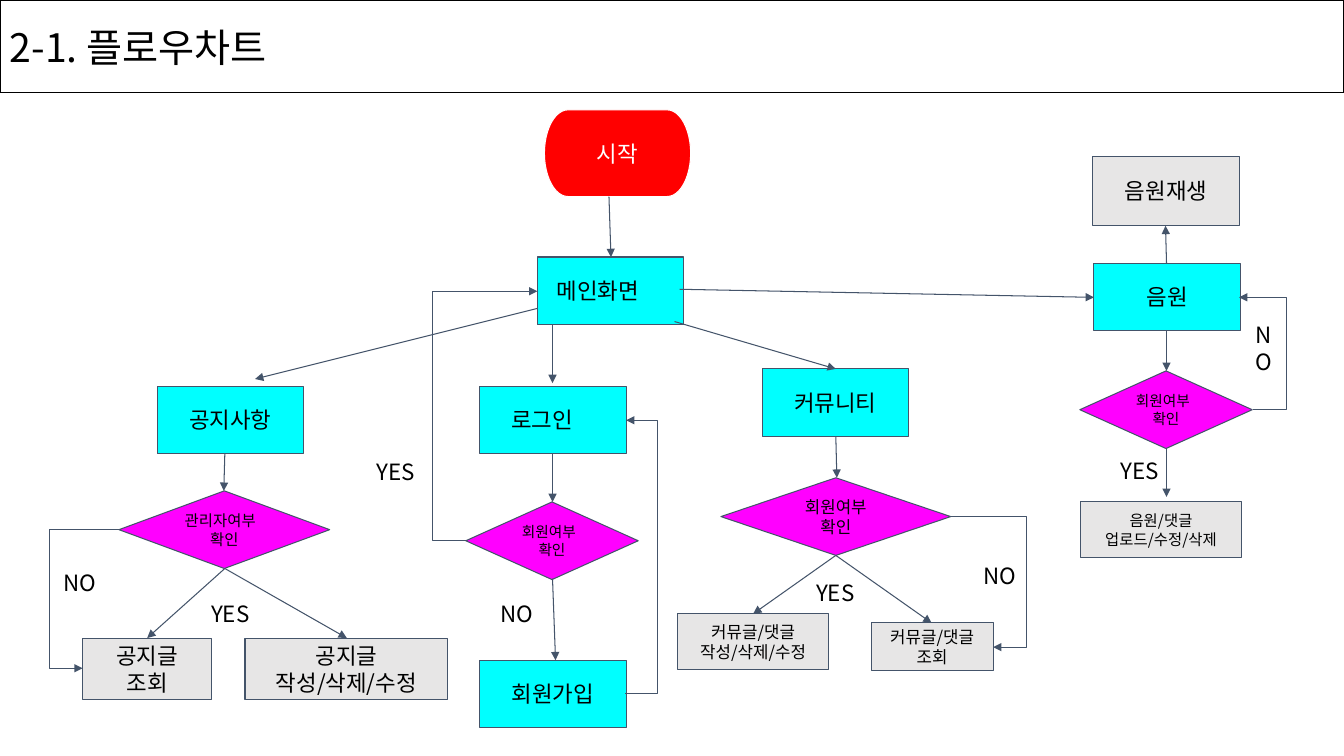
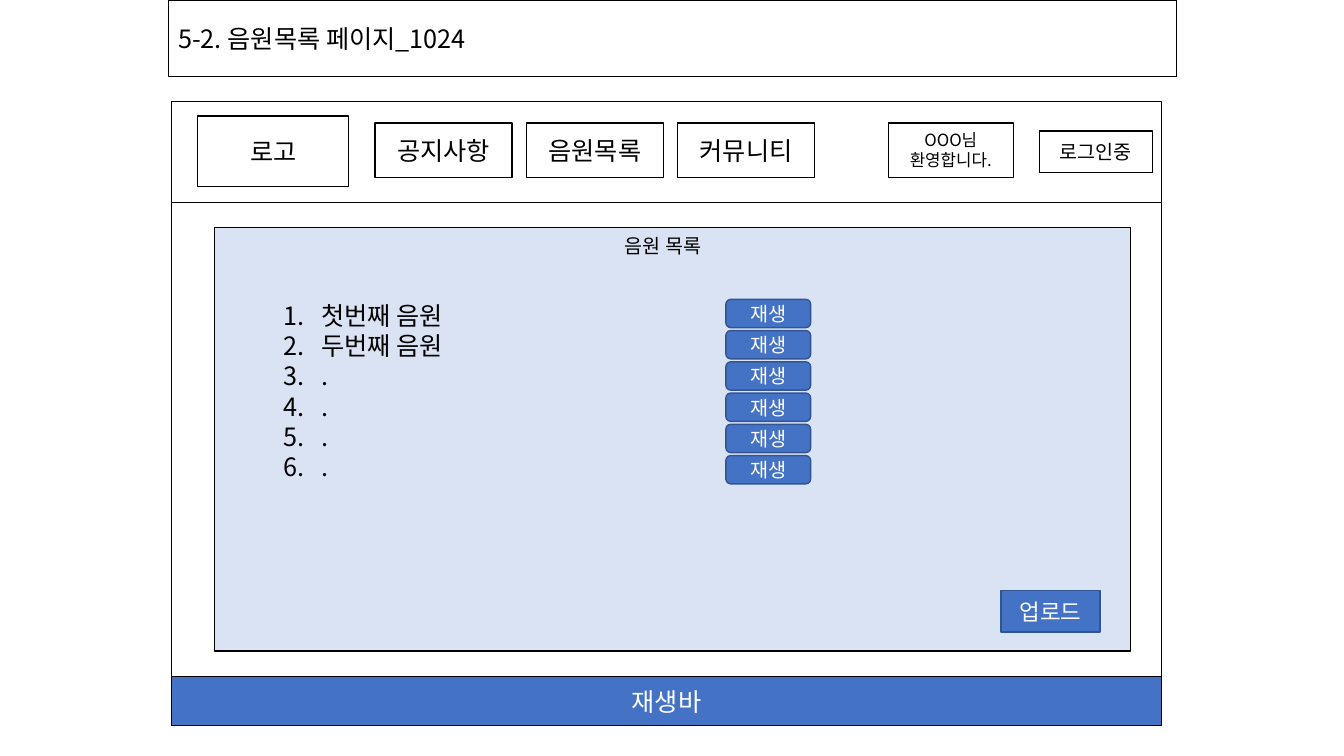
from lxml import etree
from pptx import Presentation
from pptx.dml.color import RGBColor
from pptx.enum.shapes import MSO_CONNECTOR, MSO_SHAPE
from pptx.enum.text import MSO_ANCHOR, PP_ALIGN
from pptx.oxml.ns import qn
from pptx.util import Emu, Pt

PX = 9144
FONT = "Noto Sans CJK KR"
LEFT, CENTER = PP_ALIGN.LEFT, PP_ALIGN.CENTER
TOP, MIDDLE = MSO_ANCHOR.TOP, MSO_ANCHOR.MIDDLE
RECTANGLE, ROUNDED = MSO_SHAPE.RECTANGLE, MSO_SHAPE.ROUNDED_RECTANGLE
PROCESS, DECISION = MSO_SHAPE.FLOWCHART_PROCESS, MSO_SHAPE.FLOWCHART_DECISION
TERMINATOR = MSO_SHAPE.FLOWCHART_TERMINATOR
STRAIGHT, ELBOW = MSO_CONNECTOR.STRAIGHT, MSO_CONNECTOR.ELBOW

BLACK = RGBColor(0x00, 0x00, 0x00)
WHITE = RGBColor(0xFF, 0xFF, 0xFF)
RED = RGBColor(0xFF, 0x00, 0x00)
CYAN = RGBColor(0x00, 0xFF, 0xFF)
MAGENTA = RGBColor(0xFF, 0x00, 0xFF)
GRAY = RGBColor(0xE7, 0xE6, 0xE6)
SLATE = RGBColor(0x44, 0x54, 0x6A)
BLUE = RGBColor(0x44, 0x72, 0xC4)
DARK_BLUE = RGBColor(0x32, 0x54, 0x91)
PALE_BLUE = RGBColor(0xDA, 0xE3, 0xF3)

PLAIN_INSETS = (10, 5, 10, 5)
CHART_INSETS = (13, 13, 13, 13)

NODE_STYLES = {
    "start": (TERMINATOR, RED, WHITE, WHITE),
    "page": (PROCESS, CYAN, SLATE, BLACK),
    "check": (DECISION, MAGENTA, SLATE, BLACK),
    "action": (PROCESS, GRAY, SLATE, BLACK),
}
NODES = [
    ("start", (540, 109, 145, 86), 16, ["시작"], CENTER, 0),
    ("page", (533, 255, 145, 67), 16, ["메인화면"], LEFT, 6),
    ("check", (462, 498, 171, 77), 10.5, ["회원여부", "확인"], LEFT, 0),
    ("page", (476, 383, 145, 67), 16, ["로그인"], LEFT, 18),
    ("page", (476, 655, 145, 67), 16, ["회원가입"], CENTER, 0),
    ("page", (156, 383, 145, 67), 16, ["공지사항"], CENTER, 0),
    ("check", (118, 487, 209, 77), 11, ["관리자여부", "확인"], LEFT, 0),
    ("action", (82, 633, 128, 61), 16, ["공지글", "조회"], CENTER, 0),
    ("action", (243, 633, 201, 61), 16, ["공지글", "작성/삭제/수정"], CENTER, 0),
    ("page", (756, 366, 145, 67), 16, ["커뮤니티"], CENTER, 0),
    ("check", (715, 474, 228, 77), 12, ["회원여부", "확인"], CENTER, 0),
    ("action", (864, 618, 121, 47), 12, ["커뮤글/댓글", "조회"], CENTER, 0),
    ("action", (672, 609, 150, 55), 12, ["커뮤글/댓글", "작성/삭제/수정"], CENTER, 0),
    ("page", (1085, 261, 145, 67), 16, ["음원"], CENTER, 0),
    ("check", (1071, 368, 171, 77), 10.5, ["회원여부", "확인"], LEFT, 0),
    ("action", (1072, 498, 159, 55), 11, ["음원/댓글", "업로드/수정/삭제"], CENTER, 0),
    ("action", (1084, 155, 145, 69), 16, ["음원재생"], CENTER, 0),
]
ARROWS = [
    (604, 195, 606, 255), (674, 287, 1085, 295), (533, 306, 253, 376),
    (548, 322, 548, 380), (669, 319, 829, 366), (548, 450, 548, 498),
    (548, 574, 551, 655), (223, 450, 222, 487), (223, 564, 146, 633),
    (223, 564, 344, 633), (829, 433, 830, 474), (829, 551, 747, 609),
    (829, 551, 924, 618), (1157, 328, 1157, 368), (1157, 444, 1157, 493),
    (1157, 261, 1156, 224),
]
BENT_ARROWS = [
    ((620, 688, 621, 417), 653),
    ((462, 536, 533, 289), 429),
    ((118, 525, 82, 663), 49),
    ((943, 512, 985, 642), 1018),
    ((1243, 406, 1229, 295), 1276),
]
LABELS = [
    ("NO", (483, 582, 68, 54), LEFT),
    ("YES", (341, 442, 103, 54), CENTER),
    ("YES", (177, 582, 103, 54), CENTER),
    ("NO", (50, 552, 68, 54), LEFT),
    ("YES", (777, 562, 103, 54), CENTER),
    ("NO", (962, 545, 68, 54), LEFT),
    ("YES", (1093, 441, 75, 54), CENTER),
    ("NO", (1232, 306, 52, 81), LEFT),
]

MENU = ["공지사항", "음원목록", "커뮤니티"]
TRACKS = ["첫번째 음원", "두번째 음원", ".", ".", ".", "."]
FRAMES = [(170, 102, 982, 618), (170, 101, 982, 100)]
HEADER_BOXES = [
    ("로고", (196, 115, 150, 70), 18),
    *[(name, (372 + 150 * index, 122, 136, 54), 18) for index, name in enumerate(MENU)],
    ("로그인중", (1031, 130, 112, 41), 14),
    ("OOO님 환영합니다.", (881, 122, 124, 54), 12),
]


def to_emu(lengths):
    return [Emu(length * PX) for length in lengths]


def write_text(shape, lines, size, color=BLACK, align=CENTER, anchor=MIDDLE,
               insets=PLAIN_INSETS):
    frame = shape.text_frame
    frame.word_wrap = True
    frame.vertical_anchor = anchor
    (frame.margin_left, frame.margin_top,
     frame.margin_right, frame.margin_bottom) = to_emu(insets)
    for index, line in enumerate(lines):
        paragraph = frame.add_paragraph() if index else frame.paragraphs[0]
        paragraph.alignment = align
        run = paragraph.add_run()
        run.text = line
        run.font.size = Pt(size)
        run.font.color.rgb = color
        run.font.name = FONT
        properties = run.font._element if hasattr(run.font, "_element") else run._r.get_or_add_rPr()
        etree.SubElement(properties, qn("a:ea"), typeface=FONT)
    return frame


def add_box(slide, kind, place, fill, line, width=1):
    shape = slide.shapes.add_shape(kind, *to_emu(place))
    shape.shadow.inherit = False
    shape.fill.solid()
    shape.fill.fore_color.rgb = fill
    shape.line.color.rgb = line
    shape.line.width = Pt(width)
    return shape


def add_title(slide, place, text, size):
    write_text(add_box(slide, RECTANGLE, place, WHITE, BLACK), [text], size, align=LEFT)


def add_arrow(slide, ends, bend=None):
    kind = STRAIGHT if bend is None else ELBOW
    connector = slide.shapes.add_connector(kind, *to_emu(ends))
    connector.line.color.rgb = SLATE
    connector.line.width = Pt(0.75)
    etree.SubElement(connector.line._get_or_add_ln(), qn("a:tailEnd"), type="triangle")
    properties = connector._element.spPr
    etree.SubElement(properties, qn("a:effectLst"))
    if bend is not None:
        start, end = ends[0], ends[2]
        ratio = round((bend - start) / (end - start) * 100000)
        guides = properties.find(qn("a:prstGeom")).get_or_add_avLst()
        etree.SubElement(guides, qn("a:gd"), name="adj1", fmla=f"val {ratio}")


def add_label(slide, place, lines, size, **style):
    box = slide.shapes.add_textbox(*to_emu(place))
    return write_text(box, lines, size, anchor=TOP, **style)


def build_flowchart(slide):
    add_title(slide, (0, 0, 1333, 92), "2-1. 플로우차트", 28)
    for style, place, size, lines, first_align, indent in NODES:
        kind, fill, line, color = NODE_STYLES[style]
        shape = add_box(slide, kind, place, fill, line, 0.75)
        left, *others = CHART_INSETS
        frame = write_text(shape, lines, size, color, insets=(left + indent, *others))
        frame.paragraphs[0].alignment = first_align
    for ends in ARROWS:
        add_arrow(slide, ends)
    for ends, bend in BENT_ARROWS:
        add_arrow(slide, ends, bend)
    for text, place, align in LABELS:
        add_label(slide, place, [text], 16, align=align, insets=CHART_INSETS)


def build_track_page(slide):
    add_title(slide, (167, 0, 1000, 76), "5-2. 음원목록 페이지_1024", 18)
    for place in FRAMES:
        add_box(slide, RECTANGLE, place, WHITE, BLACK)
    for text, place, size in HEADER_BOXES:
        write_text(add_box(slide, RECTANGLE, place, WHITE, BLACK), [text], size)
    player = add_box(slide, RECTANGLE, (170, 671, 982, 49), BLUE, BLACK)
    write_text(player, ["재생바"], 18, WHITE)

    add_box(slide, RECTANGLE, (213, 226, 908, 420), PALE_BLUE, BLACK)
    add_label(slide, (610, 227, 123, 34), ["음원 목록"], 14, align=LEFT)
    tracks = add_label(slide, (271, 293, 194, 222), TRACKS, 18, align=LEFT)
    for index, paragraph in enumerate(tracks.paragraphs):
        properties = paragraph._p.get_or_add_pPr()
        properties.set("marL", str(38 * PX))
        properties.set("indent", str(-38 * PX))
        etree.SubElement(properties, qn("a:buFont"), typeface="+mj-lt")
        etree.SubElement(properties, qn("a:buAutoNum"), type="arabicPeriod")
        button = add_box(slide, ROUNDED, (720, 297 + 31 * index, 84, 28), BLUE, DARK_BLUE)
        write_text(button, ["재생"], 14, WHITE)
    upload = add_box(slide, RECTANGLE, (993, 586, 98, 41), BLUE, DARK_BLUE)
    write_text(upload, ["업로드"], 16, WHITE)


def main():
    presentation = Presentation()
    presentation.slide_width, presentation.slide_height = to_emu((1333, 750))
    blank = presentation.slide_layouts[6]
    for build in (build_flowchart, build_track_page):
        build(presentation.slides.add_slide(blank))
    presentation.save("out.pptx")


if __name__ == "__main__":
    main()
